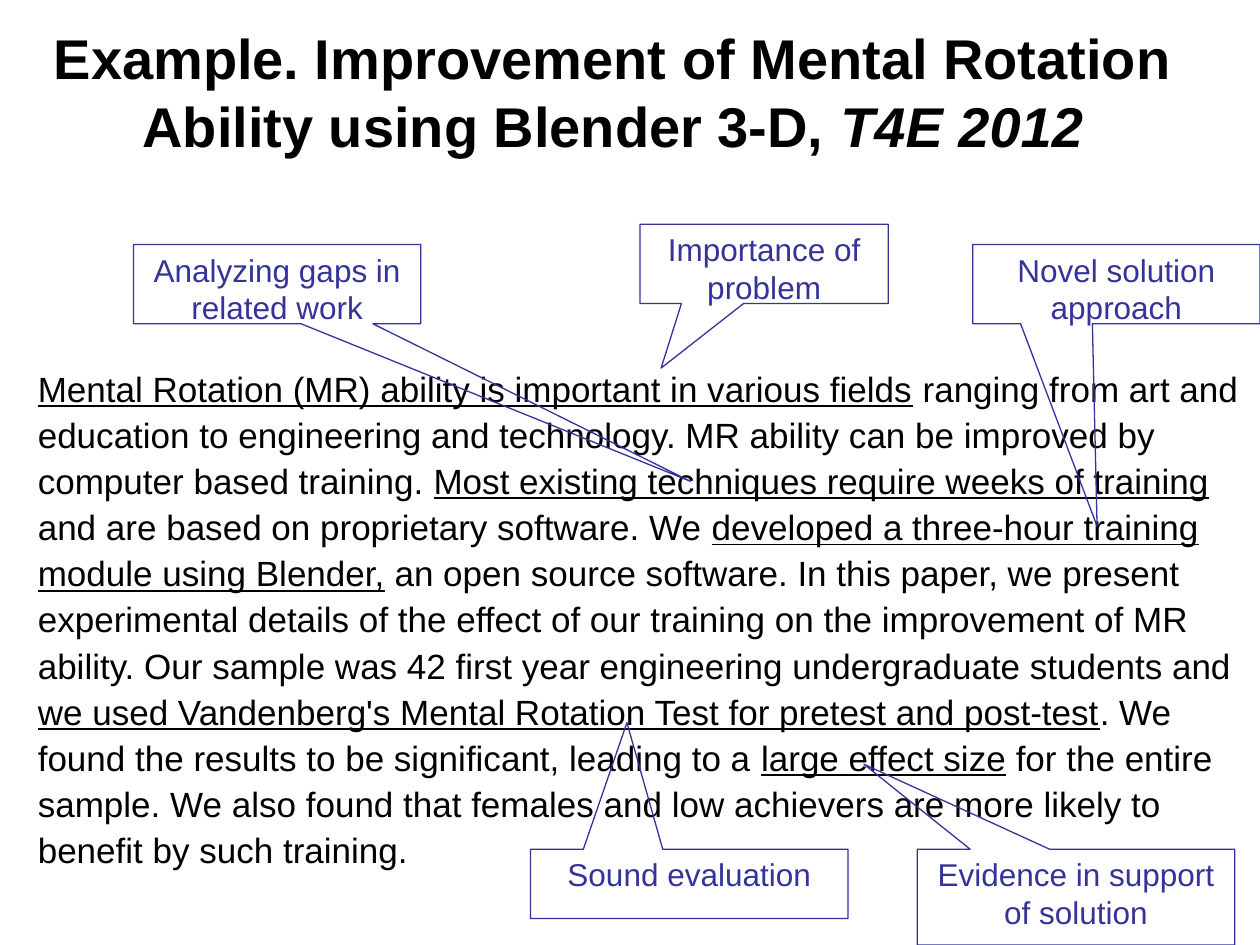
from pptx import Presentation
from pptx.dml.color import RGBColor
from pptx.enum.shapes import MSO_SHAPE
from pptx.enum.text import MSO_ANCHOR, MSO_AUTO_SIZE, PP_ALIGN
from pptx.oxml.ns import qn
from pptx.util import Inches, Pt

W, H = 10, 7.5
FONT, INK, ACCENT = "Arial", "000000", "333399"
UPPER_ROW, LOWER_ROW = 1.94, 6.74

TITLE = [
    ("Example. Improvement of Mental Rotation Ability using Blender 3-D, ", False),
    ("T4E 2012", True),
]
ABSTRACT = [
    ("Mental Rotation (MR) ability is important in various fields", True),
    (" ranging from art and education to engineering and technology. MR ability can be "
     "improved by computer based training. ", False),
    ("Most existing techniques require weeks of training", True),
    (" and are based on proprietary software. We ", False),
    ("developed a three-hour training module using Blender,", True),
    (" an open source software. In this paper, we present experimental details of the effect "
     "of our training on the improvement of MR ability. Our sample was 42 first year "
     "engineering undergraduate students and ", False),
    ("we used Vandenberg's Mental Rotation Test for pretest and post-test", True),
    (". We found the results to be significant, leading to a ", False),
    ("large effect size", True),
    (" for the entire sample. We also found that females and low achievers are more likely "
     "to benefit by such training.", False),
]
CALLOUTS = [
    ("Novel solution approach", (7.72, UPPER_ROW, 2.28, 0.63), (-0.067, 3.05)),
    ("Importance of problem", (5.08, 1.78, 1.97, 0.63), (-0.415, 1.313)),
    ("Sound evaluation", (4.21, LOWER_ROW, 2.52, 0.55), (-0.196, -2.327)),
    ("Evidence in support of solution", (7.28, LOWER_ROW, 2.52, 0.76), (-0.668, -1.388)),
    ("Analyzing gaps in related work", (1.06, UPPER_ROW, 2.28, 0.63), (1.439, 2.485)),
]


def rgb(value):
    return RGBColor.from_string(value)


def style(font, size, color):
    font.name, font.size = FONT, Pt(size)
    font.color.rgb = rgb(color)


def place(sp, box):
    sp.left, sp.top, sp.width, sp.height = [Inches(v) for v in box]


def set_frame(tf, insets=(0.1, 0.05, 0.1, 0.05)):
    tf.word_wrap = True
    tf.auto_size = MSO_AUTO_SIZE.NONE
    tf.vertical_anchor = MSO_ANCHOR.TOP
    tf.margin_left, tf.margin_top, tf.margin_right, tf.margin_bottom = [
        Inches(v) for v in insets]


def add_runs(p, parts, size, emphasis):
    for text, marked in parts:
        r = p.add_run()
        r.text = text
        style(r.font, size, INK)
        setattr(r.font, emphasis, marked)


def fill_title(sp):
    place(sp, (0, 0.14, 9.73, 1.64))
    set_frame(sp.text_frame)
    p = sp.text_frame.paragraphs[0]
    p.alignment = PP_ALIGN.CENTER
    add_runs(p, TITLE, 32, "italic")
    for r in p.runs:
        r.font.bold = True


def fill_abstract(sp):
    place(sp, (0.2, 2.73, 9.69, 4.41))
    set_frame(sp.text_frame, (0.1, 0.15, 0.02, 0.05))
    p = sp.text_frame.paragraphs[0]
    pPr = p._p.get_or_add_pPr()
    pPr.set("marL", "0")
    pPr.set("indent", "0")
    pPr.append(pPr.makeelement(qn("a:buNone"), {}))
    p.alignment = PP_ALIGN.LEFT
    p.line_spacing = 1.1
    p.space_before = Pt(0)
    add_runs(p, ABSTRACT, 20, "underline")


def add_callout(s, text, box, tip):
    sp = s.shapes.add_shape(MSO_SHAPE.ROUNDED_RECTANGULAR_CALLOUT,
                            *[Inches(v) for v in box])
    for i, value in enumerate((*tip, 0)):
        sp.adjustments[i] = value
    sp.shadow.inherit = False
    sp.fill.background()
    sp.line.color.rgb = rgb(ACCENT)
    sp.line.width = Pt(0.75)
    tf = sp.text_frame
    set_frame(tf)
    tf.text = text
    p = tf.paragraphs[0]
    p.alignment = PP_ALIGN.CENTER
    style(p.runs[0].font, 18, ACCENT)


def main():
    prs = Presentation()
    prs.slide_width, prs.slide_height = Inches(W), Inches(H)
    s = prs.slides.add_slide(prs.slide_layouts[1])
    fill_title(s.shapes.title)
    fill_abstract(s.placeholders[1])
    for text, box, tip in CALLOUTS:
        add_callout(s, text, box, tip)
    prs.save("out.pptx")


if __name__ == "__main__":
    main()
